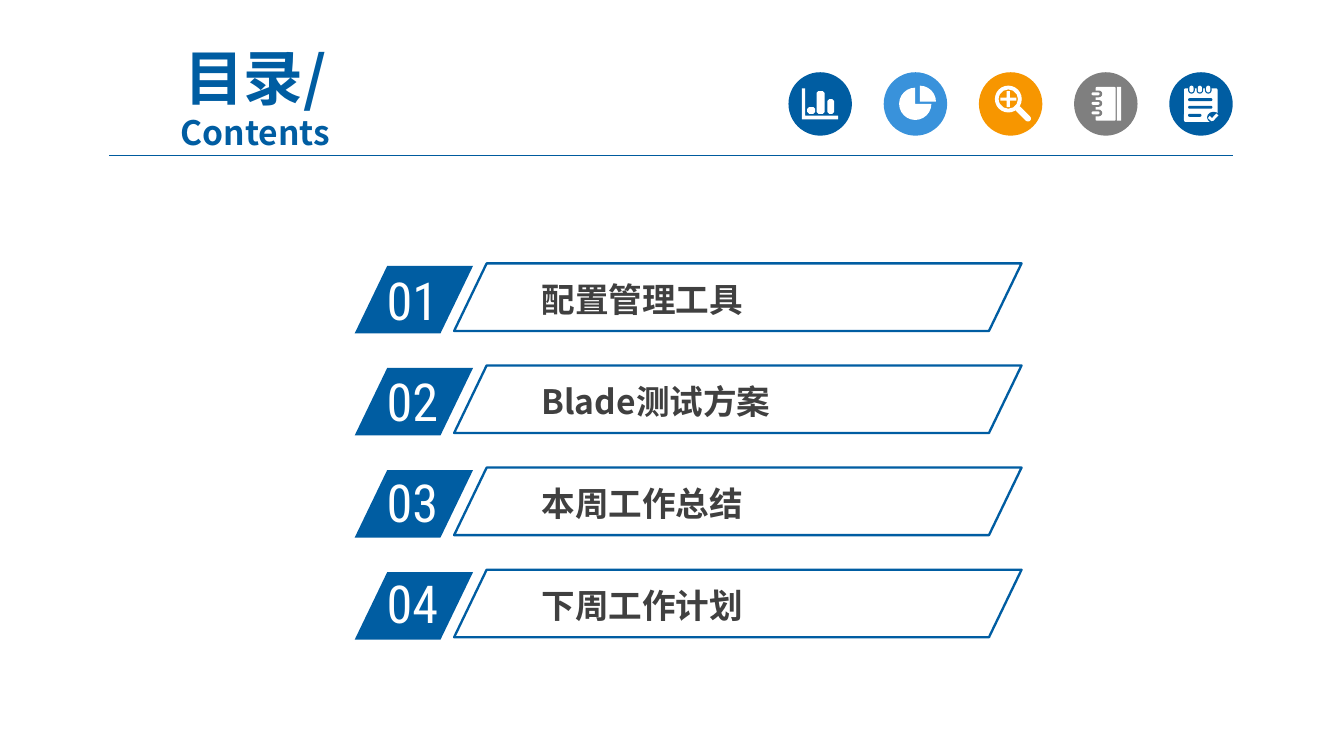
from lxml.etree import SubElement
from pptx import Presentation
from pptx.dml.color import RGBColor
from pptx.enum.shapes import MSO_CONNECTOR, MSO_SHAPE as Kind
from pptx.enum.text import MSO_ANCHOR, MSO_AUTO_SIZE as Fit, PP_ALIGN
from pptx.oxml.ns import qn
from pptx.util import Pt

BLUE, SKY, ORANGE, GRAY = "005DA2", "3992DB", "F79600", "7F7F7F"
WHITE, DARK, RULE = "FFFFFF", "404040", "005B9E"
CJK, CONDENSED = "Noto Sans CJK SC", "Roboto Condensed"
BAR, ROUND = Kind.RECTANGLE, Kind.ROUNDED_RECTANGLE
color = RGBColor.from_string


def add_part(kind, left, top, width, height, fill=None, line=None, adjust=(), turn=0):
    """Add a preset shape, in points, with a plain fill or outline."""
    part = page.shapes.add_shape(kind, Pt(left), Pt(top), Pt(width), Pt(height))
    part.shadow.inherit = False
    part.rotation = turn
    for index, value in enumerate(adjust):
        part.adjustments[index] = value
    if fill:
        part.fill.solid()
        part.fill.fore_color.rgb = color(fill)
    else:
        part.fill.background()
    if line:
        part.line.color.rgb = color(line)
        part.line.width = Pt(1.25)
    else:
        part.line.fill.background()


def add_span(para, text, face, shade, **formats):
    """Add a run with its Latin and East Asian face, colour and font formats."""
    span = para.add_run()
    span.text = text
    for name, value in dict(formats, name=face).items():
        setattr(span.font, name, value)
    span.font.color.rgb = color(shade)
    SubElement(span.font._element, qn("a:ea"), typeface=face)


deck = Presentation()
deck.slide_width, deck.slide_height = Pt(720), Pt(405)
page = deck.slides.add_slide(deck.slide_layouts[5])

# Heading
title = page.shapes.title
for name, value in dict(left=48, top=33.84, width=177.84, height=38.88).items():
    setattr(title, name, Pt(value))
frame = title.text_frame
for name, value in dict(auto_size=Fit.NONE, word_wrap=True,
                        vertical_anchor=MSO_ANCHOR.MIDDLE).items():
    setattr(frame, name, value)
para = frame.paragraphs[0]
for name, value in dict(alignment=PP_ALIGN.CENTER, line_spacing=0.97,
                        space_before=Pt(6.4)).items():
    setattr(para, name, value)
add_span(para, "目录/", CJK, BLUE, size=Pt(32), bold=True)
para.add_line_break()
add_span(para, "Contents", CJK, BLUE, size=Pt(18), bold=True)

rule = page.shapes.add_connector(MSO_CONNECTOR.STRAIGHT, Pt(58.5), Pt(83.3), Pt(660.5), Pt(83.3))
rule.line.color.rgb = color(RULE)
rule.line.width = Pt(0.75)
SubElement(rule._element.spPr, qn("a:effectLst"))

# Contents list
topics = ["配置管理工具", "Blade测试方案", "本周工作总结", "下周工作计划"]
for index, topic in enumerate(topics):
    top = 141.1 + 54.7 * index
    add_part(Kind.PARALLELOGRAM, 190, top + 1.3, 63.4, 36.2, BLUE, adjust=[0.482])
    add_part(Kind.PARALLELOGRAM, 243.3, top, 304, 36.2, line=BLUE, adjust=[0.482])
    labels = [
        (f"{index + 1:02}", 200, -0.9 - 0.6 * index, 60.5, 35.3, 7.2, 3.6,
         dict(face=CONDENSED, shade=WHITE, size=Pt(28))),
        (topic, 285.1, 5.3, 222.5, 27.4, 5, 2.9,
         dict(face=CJK, shade=DARK, size=Pt(18), bold=True)),
    ]
    for text, left, drop, width, height, side, edge, formats in labels:
        box = page.shapes.add_textbox(Pt(left), Pt(top + drop), Pt(width), Pt(height))
        frame = box.text_frame
        for name, value in dict(word_wrap=True, auto_size=Fit.SHAPE_TO_FIT_TEXT,
                                margin_left=Pt(side), margin_right=Pt(side),
                                margin_top=Pt(edge), margin_bottom=Pt(edge)).items():
            setattr(frame, name, value)
        add_span(frame.paragraphs[0], text, **formats)

# Icons: parts are placed from the corner of their disc
pie = [(Kind.PIE, 8.3, 8.3, 17.3, 17.3, WHITE),
       (Kind.PIE, 10.8, 7.2, 17.2, 17.2, WHITE, None, [162, 0])]
magnifier = [(Kind.DONUT, 8.6, 7.2, 14.4, 14.4, WHITE, None, [0.14]),
             (Kind.CROSS, 11.5, 10.1, 8.6, 8.6, WHITE, None, [0.4]),
             (ROUND, 18.5, 20.7, 10.5, 3.2, WHITE, None, [0.5], 45)]
notebook = [(ROUND, 11.5, 7.9, 10.8, 18, WHITE, None, [0.06]),
            (BAR, 23, 7.9, 2.2, 18, WHITE)]
for row in range(3):
    drop = 10.8 + 5.1 * row
    notebook += [(ROUND, 9.4, drop - 1, 5.7, 3.6, GRAY, None, [0.5]),
                 (ROUND, 9.4, drop, 4.3, 1.6, WHITE, None, [0.5])]
notepad = [(ROUND, 7.9, 8.6, 18, 18, WHITE, None, [0.05])]
for column in range(3):
    shift = 10.1 + 4.5 * column
    notepad += [(ROUND, shift, 7.2, 3.6, 4.3, BLUE, None, [0.5]),
                (ROUND, shift + 0.7, 7.2, 2.2, 3.6, WHITE, None, [0.5])]
notepad += [(ROUND, 10.1, drop, width, 1.6, BLUE, None, [0.5])
            for drop, width in [(13.9, 13), (18, 13), (22.3, 7.2)]]
notepad.append((Kind.OVAL, 20.2, 21.2, 7, 6, BLUE))

icons = [(BLUE, []), (SKY, pie), (ORANGE, magnifier), (GRAY, notebook), (BLUE, notepad)]
disc_first, disc_step, disc_top = 422.4, 51, 38.7
for index, (fill, parts) in enumerate(icons):
    disc_left = disc_first + disc_step * index
    add_part(Kind.OVAL, disc_left, disc_top, 34, 34, fill)
    for kind, left, top, *rest in parts:
        add_part(kind, disc_left + left, disc_top + top, *rest)

# Bar chart icon: an L-shaped axis and three bars in one outline
outlines = [[(7.2, 8.6), (9, 8.6), (9, 23.2), (26.6, 23.2), (26.6, 25.2), (7.2, 25.2)]]
for left, top, right in [(10.1, 18.7, 14.4), (15.1, 10.1, 19.4), (20.9, 14.4, 24.5)]:
    outlines.append([(left, top + 1), (left + 1, top), (right - 1, top), (right, top + 1),
                     (right, 21.3), (right - 1, 22.3), (left + 1, 22.3), (left, 21.3)])
outlines = [[(Pt(disc_first + x), Pt(disc_top + y)) for x, y in outline] for outline in outlines]
builder = page.shapes.build_freeform(*outlines[0][0])
builder.add_line_segments(outlines[0][1:])
for outline in outlines[1:]:
    builder.move_to(*outline[0])
    builder.add_line_segments(outline[1:])
bars = builder.convert_to_shape()
bars.shadow.inherit = False
bars.fill.solid()
bars.fill.fore_color.rgb = color(WHITE)
bars.line.fill.background()

# Tick on the notepad
ticks = [(Pt(disc_left + x), Pt(disc_top + y)) for x, y in [(21.2, 24), (23, 25.6), (25.8, 22.6)]]
builder = page.shapes.build_freeform(*ticks[0])
builder.add_line_segments(ticks[1:], close=False)
tick = builder.convert_to_shape()
tick.shadow.inherit = False
tick.fill.background()
tick.line.color.rgb = color(WHITE)
tick.line.width = Pt(1.5)

deck.save("out.pptx")
